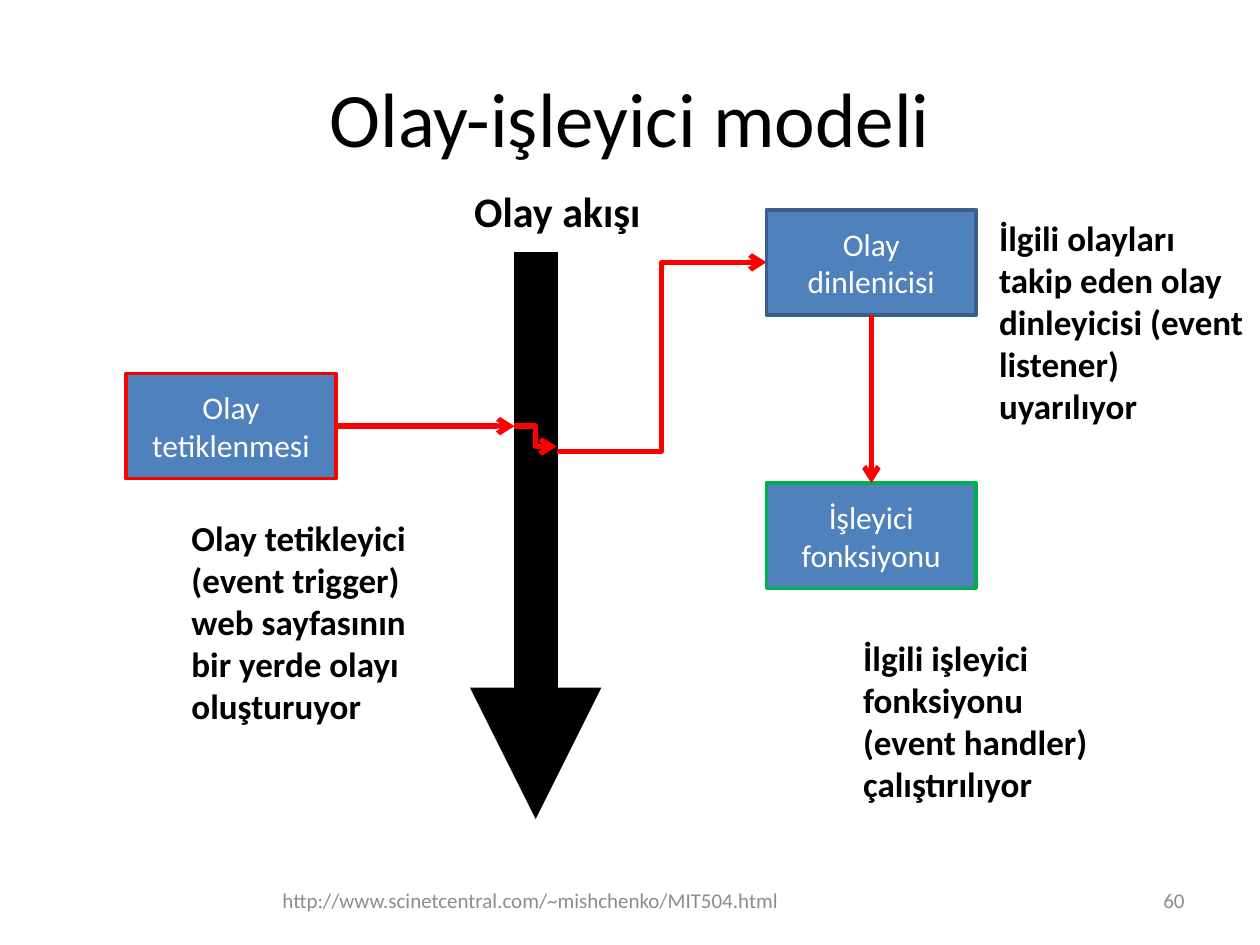
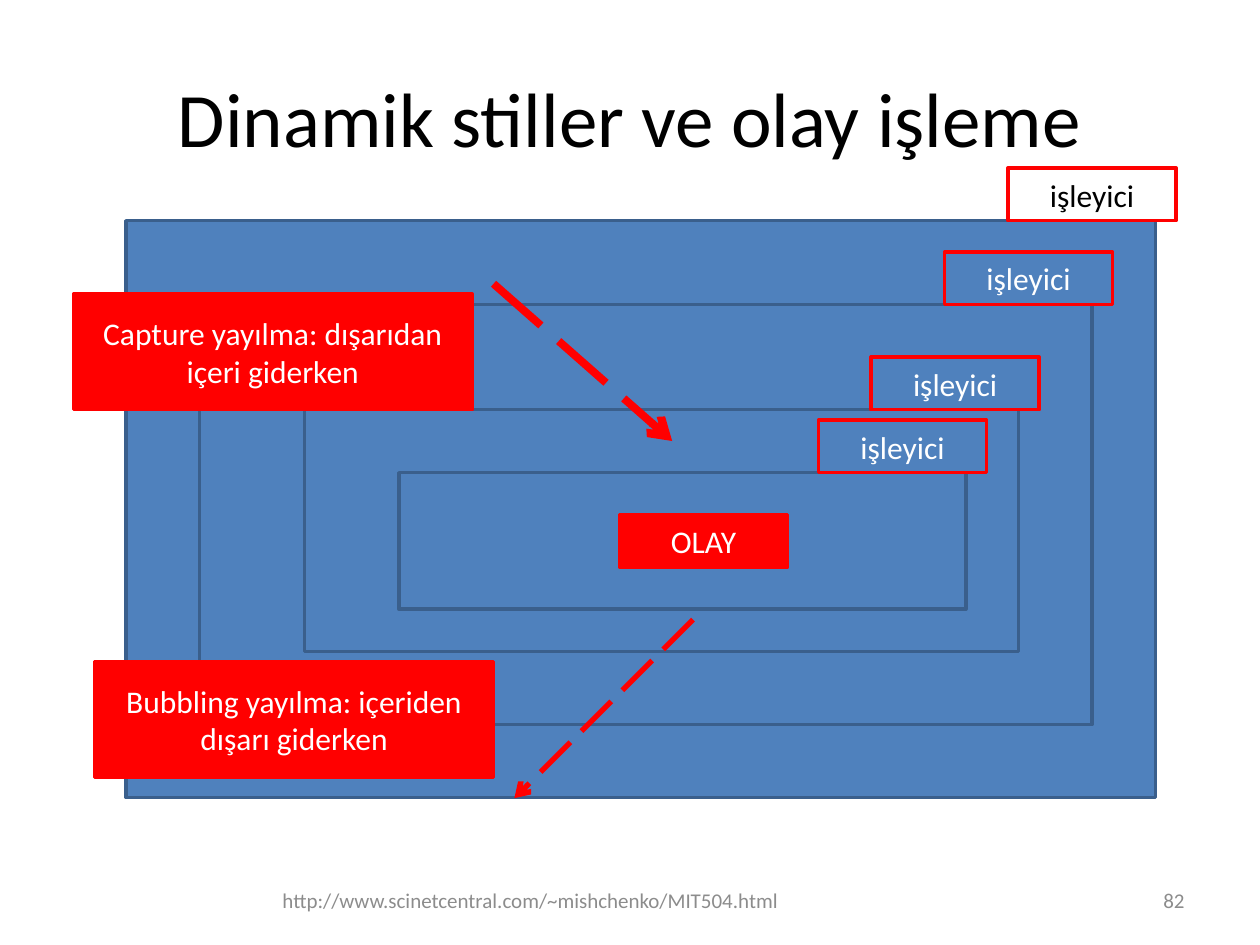
import pptx
import pptx.dml.color
import pptx.enum.dml
import pptx.enum.shapes
import pptx.enum.text
import pptx.oxml
import pptx.oxml.ns
import pptx.util

Cm = pptx.util.Cm
Pt = pptx.util.Pt
ALIGN = pptx.enum.text.PP_ALIGN
ANCHOR = pptx.enum.text.MSO_ANCHOR
CONNECTOR = pptx.enum.shapes.MSO_CONNECTOR
PROCESS = pptx.enum.shapes.MSO_SHAPE.FLOWCHART_PROCESS
LONG_DASH = pptx.enum.dml.MSO_LINE.LONG_DASH

COLORS = {
    "ink": "000000",
    "paper": "FFFFFF",
    "muted": "8C8C8C",
    "blue": "4F81BD",
    "navy": "3A5F8C",
    "red": "FF0000",
    "green": "00B050",
}
TITLE = {"size": Pt(44), "bold": False}
FOOTER = {"size": Pt(12), "bold": False}
HEADING = {"size": Pt(24), "bold": True}
CAPTION = {"size": Pt(20), "bold": True}
LABEL = {"size": Pt(18), "bold": False}

COURSE_URL = "http://www.scinetcentral.com/~mishchenko/MIT504.html"
TOP, LEFT, BOTTOM, RIGHT = range(4)
STEP_SIZE = (4.23, 2.12)
NOTE_SIZE = (8.04, 2.33)
TAG_SIZE = (3.39, 1.06)
TAG_OVERHANG = 0.42
NESTED_ELEMENTS = [
    (2.54, 4.45, 20.75, 11.63),
    (4.02, 6.14, 17.99, 8.47),
    (6.14, 8.26, 14.39, 4.87),
    (8.04, 9.53, 11.43, 2.75),
]


def rgb(color):
    return pptx.dml.color.RGBColor.from_string(COLORS[color])


def write(frame, text, style, color="ink", align=ALIGN.LEFT, **layout):
    for name, value in layout.items():
        setattr(frame, name, value)
    paragraph = frame.paragraphs[0]
    paragraph.alignment = align
    run = paragraph.add_run()
    run.text = text
    for name, value in {"name": "Calibri", **style}.items():
        setattr(run.font, name, value)
    run.font.color.rgb = rgb(color)


def add_text(slide, area, text, style, color="ink", align=ALIGN.LEFT,
             anchor=ANCHOR.TOP, wrap=True):
    box = slide.shapes.add_textbox(*map(Cm, area))
    write(box.text_frame, text, style, color, align,
          word_wrap=wrap, vertical_anchor=anchor)


def add_process(slide, area, text="", fill="blue", border="navy", color="paper"):
    process = slide.shapes.add_shape(PROCESS, *map(Cm, area))
    process.shadow.inherit = False
    if fill:
        process.fill.solid()
        process.fill.fore_color.rgb = rgb(fill)
    else:
        process.fill.background()
    process.line.color.rgb = rgb(border)
    process.line.width = Pt(2)
    if text:
        write(process.text_frame, text, LABEL, color, ALIGN.CENTER,
              word_wrap=True, vertical_anchor=ANCHOR.MIDDLE)
    return process


def add_arrow(slide, start, end, color="red", width=3, head="arrow",
              kind=CONNECTOR.STRAIGHT, dash=None):
    arrow = slide.shapes.add_connector(kind, *map(Cm, start + end))
    arrow.line.color.rgb = rgb(color)
    arrow.line.width = Pt(width)
    arrow.line.dash_style = dash
    properties = arrow.element.spPr
    outline = properties.find(pptx.oxml.ns.qn("a:ln"))
    namespace = pptx.oxml.ns.nsdecls("a")
    outline.append(pptx.oxml.parse_xml(f'<a:tailEnd {namespace} type="{head}"/>'))
    properties.append(pptx.oxml.parse_xml(f"<a:effectLst {namespace}/>"))
    return arrow


def add_titled_slide(deck, title, number):
    slide = deck.slides.add_slide(deck.slide_layouts[5])
    heading = slide.shapes.title
    place = {"left": 1.27, "top": 0.76, "width": 22.86, "height": 3.18}
    for name, value in place.items():
        setattr(heading, name, Cm(value))
    write(heading.text_frame, title, TITLE, align=ALIGN.CENTER,
          vertical_anchor=ANCHOR.MIDDLE)
    add_text(slide, (4.66, 17.65, 12.07, 1.01), COURSE_URL, FOOTER, "muted",
             ALIGN.CENTER, ANCHOR.MIDDLE)
    add_text(slide, (18.2, 17.65, 5.93, 1.01), number, FOOTER, "muted",
             ALIGN.RIGHT, ANCHOR.MIDDLE)
    return slide


def build_event_model(deck):
    slide = add_titled_slide(deck, "Olay-işleyici modeli", "60")
    add_arrow(slide, (10.8, 5.08), (10.8, 16.51), "ink", 25, "triangle")
    add_text(slide, (9.31, 3.61, 3.91, 1.27), "Olay akışı", HEADING, wrap=False)

    listener = add_process(slide, (15.45, 4.23, *STEP_SIZE), "Olay dinlenicisi")
    trigger = add_process(slide, (2.54, 7.53, *STEP_SIZE), "Olay tetiklenmesi",
                          border="red")
    handler = add_process(slide, (15.45, 9.74, *STEP_SIZE), "İşleyici fonksiyonu",
                          border="green")

    flow_entry, flow_exit = (10.37, 8.59), (11.22, 9.1)
    raised = add_arrow(slide, (6.77, 8.59), flow_entry)
    raised.begin_connect(trigger, RIGHT)
    heard = add_arrow(slide, flow_exit, (15.45, 5.29), kind=CONNECTOR.ELBOW)
    heard.end_connect(listener, LEFT)
    handled = add_arrow(slide, (17.57, 6.35), (17.57, 9.74))
    handled.begin_connect(listener, BOTTOM)
    handled.end_connect(handler, TOP)
    add_arrow(slide, flow_entry, (11.22, 9.0), kind=CONNECTOR.ELBOW)

    captions = [
        ((3.61, 10.29, 4.87, 4.52),
         "Olay tetikleyici (event trigger) web sayfasının bir yerde olayı oluşturuyor"),
        ((19.89, 4.23, 5.51, 4.52),
         "İlgili olayları takip eden olay dinleyicisi (event listener) uyarılıyor"),
        ((17.15, 12.7, 5.51, 3.68),
         "İlgili işleyici fonksiyonu (event handler) çalıştırılıyor"),
    ]
    for area, caption in captions:
        add_text(slide, area, caption, CAPTION)


def build_propagation(deck):
    slide = add_titled_slide(deck, "Dinamik stiller ve olay işleme", "82")
    for area in NESTED_ELEMENTS:
        add_process(slide, area)

    red_labels = [
        ((12.49, 10.37, *TAG_SIZE), "OLAY"),
        ((1.91, 13.34, *NOTE_SIZE), "Bubbling yayılma: içeriden dışarı giderken"),
        ((1.48, 5.93, *NOTE_SIZE), "Capture yayılma: dışarıdan içeri giderken"),
    ]
    for area, label in red_labels:
        add_process(slide, area, label, "red", "red")
    add_arrow(slide, (13.97, 12.49), (10.37, 16.09), dash=LONG_DASH)
    add_arrow(slide, (9.95, 5.72), (13.55, 8.89), width=4.5, dash=LONG_DASH)

    tag_width, tag_height = TAG_SIZE
    for depth, (left, top, width, _) in enumerate(NESTED_ELEMENTS):
        tag_left = left + width + TAG_OVERHANG - tag_width
        add_process(slide, (tag_left, top - tag_height, *TAG_SIZE), "işleyici",
                    None, "red", "paper" if depth else "ink")


def main():
    deck = pptx.Presentation()
    deck.slide_width = Cm(25.4)
    deck.slide_height = Cm(19.05)
    build_event_model(deck)
    build_propagation(deck)
    deck.save("out.pptx")


if __name__ == "__main__":
    main()
